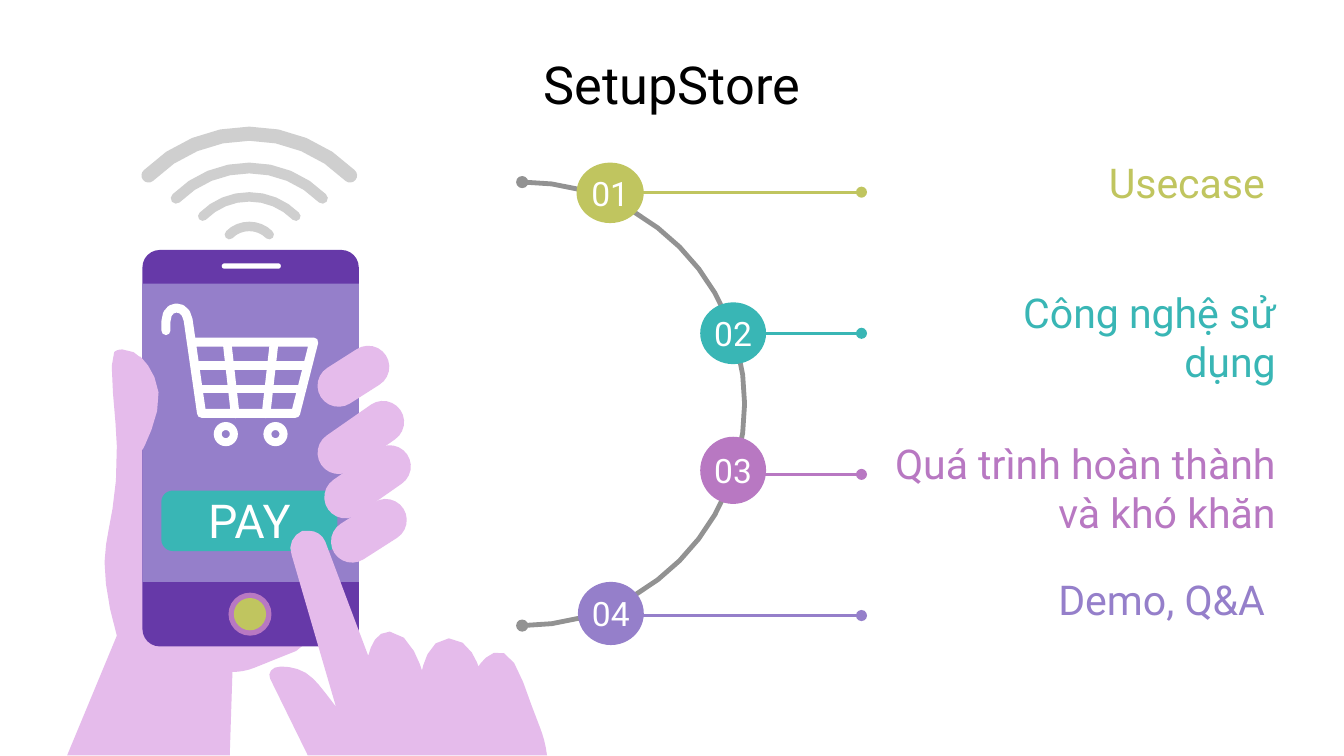
import math

from lxml import etree
from pptx import Presentation
from pptx.dml.color import RGBColor
from pptx.enum.shapes import MSO_CONNECTOR, MSO_SHAPE
from pptx.enum.text import MSO_ANCHOR, PP_ALIGN
from pptx.oxml.ns import qn
from pptx.util import Inches, Pt

OVAL = MSO_SHAPE.OVAL
DONUT = MSO_SHAPE.DONUT
RECTANGLE = MSO_SHAPE.RECTANGLE
ROUNDED = MSO_SHAPE.ROUNDED_RECTANGLE
STRAIGHT = MSO_CONNECTOR.STRAIGHT
MIDDLE = MSO_ANCHOR.MIDDLE
CENTER = PP_ALIGN.CENTER
RIGHT = PP_ALIGN.RIGHT

COLUMNS, ROWS = 100, 56.25
CELL = Inches(0.1)
FONT = "Roboto"
BLACK, WHITE, GRAY, SILVER = "000000", "FFFFFF", "929292", "CFCFCF"
OLIVE, TEAL, ORCHID, LILAC = "C0C55F", "39B6B5", "B878C2", "957FCA"
PURPLE, SKIN = "6639A8", "E5BBEB"

FIRST_ROW, ROW_STEP, LINE_END = 14.3, 10.5, 64.1
AGENDA = [
    ("Usecase", OLIVE, (69.3, 11.2, 25.8, 4.7), (42.9, 12.1, 5, 4.5)),
    ("Công nghệ sử dụng", TEAL, (68.4, 21.5, 27.5, 7.1), (52.1, 22.5, 4.9, 4.6)),
    ("Quá trình hoàn thành và khó khăn", ORCHID, (61.8, 32.5, 34.1, 7.5), (52.1, 32.5, 4.9, 5)),
    ("Demo, Q&A", LILAC, (69.3, 42.2, 25.8, 4.7), (43, 43.3, 4.9, 4.7)),
]

PALM = [
    (9.1, 26), (8.8, 26, 8.6, 26.1, 8.5, 26.2), (8, 26.6, 8.7, 31.6, 8.7, 33.2),
    (8.8, 36.9, 8, 39.5, 7.9, 40.5), (7.6, 42, 7.9, 44.6, 8.7, 47.3),
    (5, 56.2), (17.1, 56.2), (17.3, 50), (17.8, 50, 18.4, 49.9, 18.9, 49.7),
    (24.1, 48.4, 25, 45.1, 25, 45.1), (25, 45.1, 13.8, 35.9, 12.6, 30.8),
    (11.7, 26.9, 10.1, 26, 9.1, 26),
]
THUMB = [
    (10.4, 26.5), (10.1, 29.3), (10.6, 33.5), (10.6, 33.5, 12, 30.9, 11.8, 29.2),
    (11.6, 27.5, 10.4, 26.5, 10.4, 26.5),
]
POINTING_HAND = [
    (23, 39.5), (22.8, 39.5, 22.7, 39.5, 22.5, 39.5), (21.8, 39.8, 21.4, 40.6, 21.7, 41.3),
    (25, 52.6), (24.4, 51.8, 23.8, 51, 23.3, 50.5), (22.6, 49.8, 21.7, 49.6, 20.9, 49.6),
    (20.2, 49.6, 19.9, 50.1, 20.1, 50.5), (22.9, 56.2), (40.7, 56.2),
    (40.6, 55.4, 40.4, 54.7, 40.2, 54.2), (39.3, 52.1, 38.6, 49, 37.5, 48.6),
    (36.4, 48.2, 35.6, 49.6, 35.6, 49.6), (35.6, 49.6, 35, 47.5, 33.4, 47.5),
    (31.8, 47.5, 31.4, 49.9, 31.4, 49.9), (31.4, 49.9, 30.6, 47, 29, 47),
    (28, 47, 27.6, 48, 27.4, 48.8), (24.2, 40.3), (24, 39.8, 23.5, 39.5, 23, 39.5),
]
CART_FRAME = [
    (12.35, 24.6), (12.35, 23.9), (12.35, 22.6, 13.85, 22.6, 14, 23.8),
    (15, 30.75), (22, 30.75), (23.35, 25.45), (14.3, 25.45),
]
CART_BARS = [
    ((16.9, 25.5), (17.5, 30.8)), ((20.4, 25.5), (19.8, 30.8)),
    ((14.8, 27.2), (22.6, 27.2)), ((15, 28.95), (22.4, 28.95)),
]
FINGERS = [
    ((25.2, 33.7), (28.5, 31.4)), ((25.7, 37), (29, 34.7)),
    ((26.2, 40.3), (28.7, 38.7)), ((25.2, 28.7), (27.4, 27.3)),
]
SIGNAL_WAVES = [(18.95, 2.1, 0.7), (19.55, 4.9, 0.7), (20.2, 7.7, 0.8), (20.55, 10.6, 1.05)]


def cells(*lengths):
    return [round(length * CELL) for length in lengths]


def colour(value):
    return RGBColor.from_string(value)


def paint(shape, fill):
    shape.shadow.inherit = False
    shape.fill.solid()
    shape.fill.fore_color.rgb = colour(fill)
    shape.line.fill.background()


def add_preset(slide, kind, box, fill, adjustment=None):
    shape = slide.shapes.add_shape(kind, *cells(*box))
    paint(shape, fill)
    if adjustment is not None:
        shape.adjustments[0] = adjustment
    return shape


def add_freeform(slide, points, close):
    first, *others = [cells(*point) for point in points]
    builder = slide.shapes.build_freeform(*first, scale=1.0)
    builder.add_line_segments(others, close=close)
    return builder.convert_to_shape()


def add_outline(slide, segments, fill):
    paint(add_freeform(slide, flatten(segments), True), fill)


def add_stroke(slide, points, thickness, ink):
    shape = add_freeform(slide, points, False)
    shape.shadow.inherit = False
    shape.fill.background()
    shape.line.width = cells(thickness)[0]
    shape.line.color.rgb = colour(ink)
    line = shape.line._get_or_add_ln()
    line.set("cap", "rnd")
    etree.SubElement(line, qn("a:round"))


def flatten(segments, steps=4):
    points = [segments[0]]
    for segment in segments[1:]:
        if len(segment) == 2:
            points.append(segment)
            continue
        controls = [points[-1], segment[:2], segment[2:4], segment[4:]]
        for step in range(1, steps + 1):
            t = step / steps
            weights = [(1 - t) ** 3, 3 * t * (1 - t) ** 2, 3 * t * t * (1 - t), t ** 3]
            points.append(tuple(
                sum(weight * control[axis] for weight, control in zip(weights, controls))
                for axis in (0, 1)
            ))
    return points


def arc(center, radius, start, end, steps):
    angles = [math.radians(start + (end - start) * step / steps) for step in range(steps + 1)]
    return [(center[0] + radius * math.cos(a), center[1] + radius * math.sin(a)) for a in angles]


def add_capsule(slide, start, end, thickness, fill):
    across, down = end[0] - start[0], end[1] - start[1]
    length = math.hypot(across, down) + thickness
    left = (start[0] + end[0] - length) / 2
    top = (start[1] + end[1] - thickness) / 2
    capsule = add_preset(slide, ROUNDED, (left, top, length, thickness), fill, 0.5)
    capsule.rotation = math.degrees(math.atan2(down, across))


def write(shape, text, size, ink, alignment, wrap=True, margin=1):
    frame = shape.text_frame
    frame.text = text
    frame.word_wrap = wrap
    frame.vertical_anchor = MIDDLE
    frame.margin_left = frame.margin_right = frame.margin_top = frame.margin_bottom = cells(margin)[0]
    paragraph = frame.paragraphs[0]
    paragraph.alignment = alignment
    font = paragraph.runs[0].font
    font.name, font.size = FONT, Pt(size)
    font.color.rgb = colour(ink)


def add_label(slide, box, text, size, ink, alignment):
    write(slide.shapes.add_textbox(*cells(*box)), text, size, ink, alignment)


def add_dotted_line(slide, start, end, row, ink):
    connector = slide.shapes.add_connector(STRAIGHT, *cells(start, row, end, row))
    connector.line.width = Pt(1.5)
    connector.line.color.rgb = colour(ink)
    etree.SubElement(connector.line._get_or_add_ln(), qn("a:tailEnd"), type="oval")
    etree.SubElement(connector._element.spPr, qn("a:effectLst"))


def add_agenda(slide):
    add_stroke(slide, arc((38.9, 30.05), 16.5, -90, 90, 24), 0.36, GRAY)
    for top in (13.1, 46.1):
        add_preset(slide, OVAL, (38.4, top, 0.9, 0.9), GRAY)
    for index, (text, ink, label_box, badge_box) in enumerate(AGENDA):
        badge_center = badge_box[0] + badge_box[2] / 2
        add_dotted_line(slide, badge_center, LINE_END, FIRST_ROW + index * ROW_STEP, ink)
        badge = add_preset(slide, OVAL, badge_box, ink)
        write(badge, f"{index + 1:02d}", 18, WHITE, CENTER, wrap=False, margin=0)
        add_label(slide, label_box, text, 22, ink, RIGHT)


def add_cart(slide):
    add_stroke(slide, flatten(CART_FRAME, 6), 0.67, WHITE)
    for bar in CART_BARS:
        add_stroke(slide, bar, 0.64, WHITE)
    for left in (15.9, 19.6):
        add_preset(slide, DONUT, (left, 31.4, 1.8, 1.8), WHITE, 0.33)


def add_phone(slide):
    add_preset(slide, ROUNDED, (10.6, 18.6, 16.1, 29.5), PURPLE, 0.08)
    add_preset(slide, RECTANGLE, (10.6, 21.1, 16.1, 22.2), LILAC)
    add_cart(slide)
    add_preset(slide, ROUNDED, (12, 36.5, 13.1, 4.5), TEAL, 0.19)
    add_capsule(slide, (16.7, 19.8), (20.7, 19.8), 0.4, WHITE)
    add_preset(slide, OVAL, (17, 44.1, 3.2, 3.2), ORCHID)
    add_preset(slide, OVAL, (17.4, 44.5, 2.4, 2.4), OLIVE)


def main():
    presentation = Presentation()
    presentation.slide_width, presentation.slide_height = cells(COLUMNS, ROWS)
    slide = presentation.slides.add_slide(presentation.slide_layouts[6])
    add_label(slide, (27.5, 4.5, 45, 3.5), "SetupStore", 28, BLACK, CENTER)
    add_agenda(slide)
    add_outline(slide, PALM, SKIN)
    add_phone(slide)
    for start, end in FINGERS:
        add_capsule(slide, start, end, 3.14, SKIN)
    add_outline(slide, THUMB, SKIN)
    for row, radius, thickness in SIGNAL_WAVES:
        add_stroke(slide, arc((18.55, row), radius, -135, -45, 8), thickness, SILVER)
    add_outline(slide, POINTING_HAND, SKIN)
    add_label(slide, (12.1, 36.7, 12.9, 3.9), "PAY", 25, WHITE, CENTER)
    presentation.save("out.pptx")


if __name__ == "__main__":
    main()
